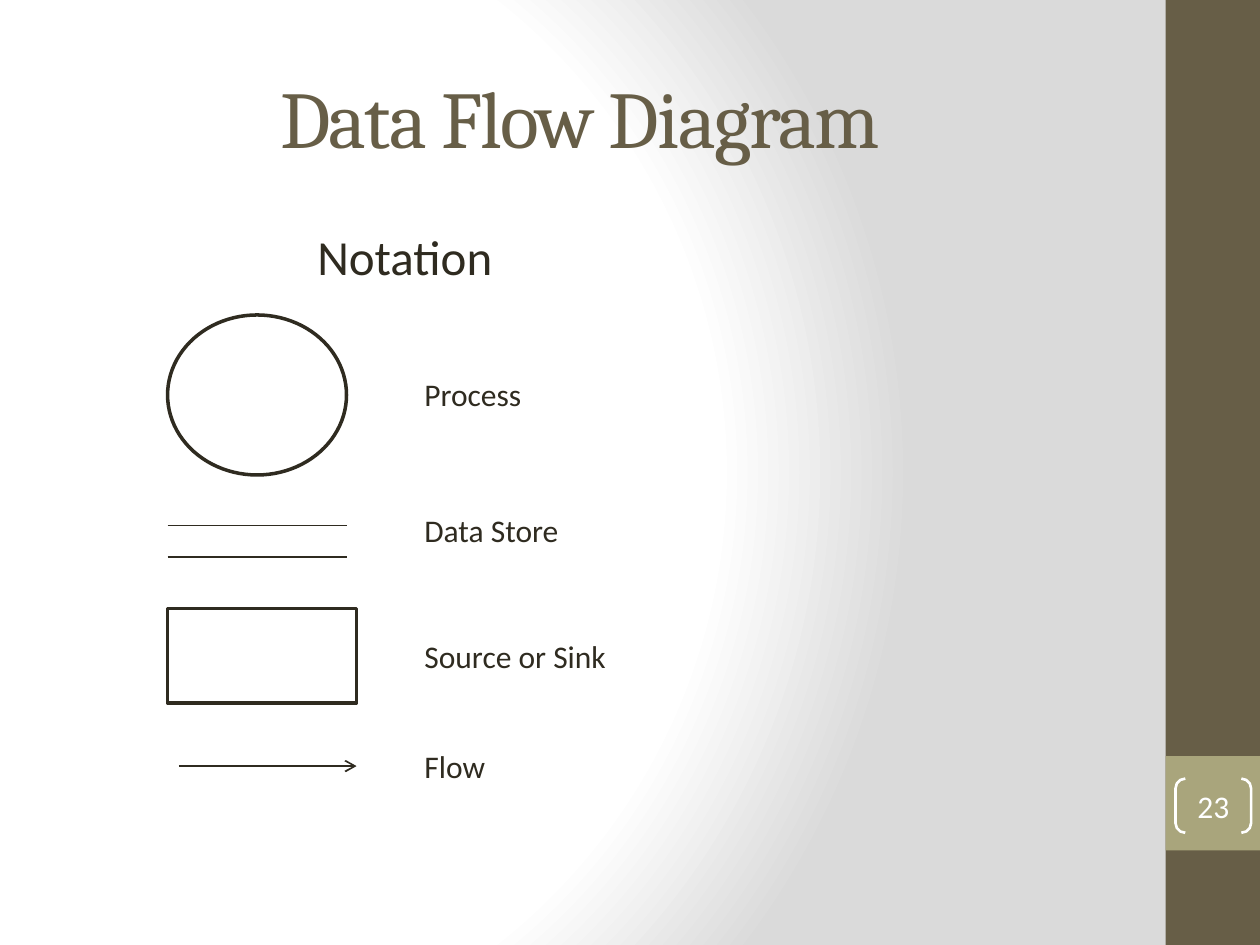
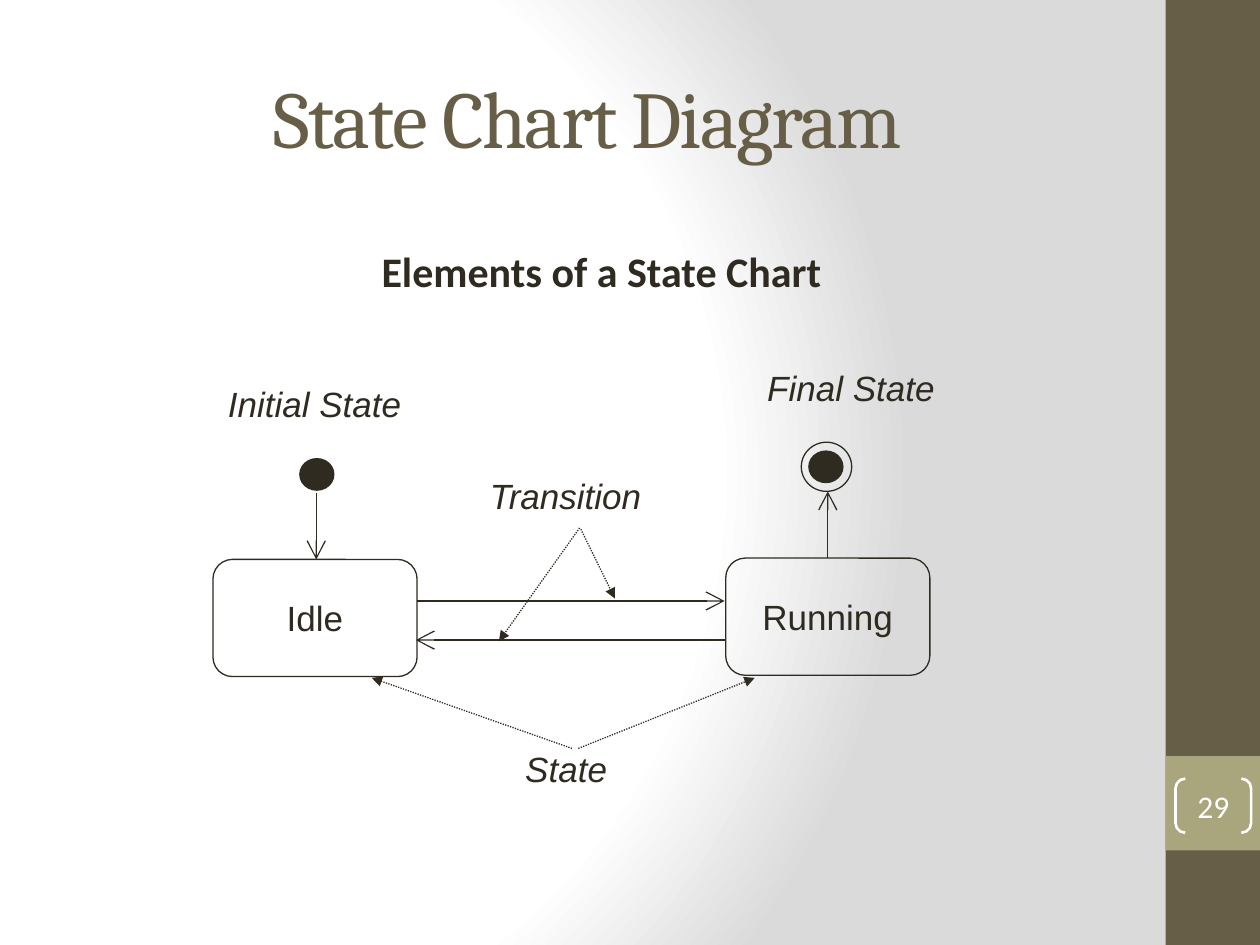
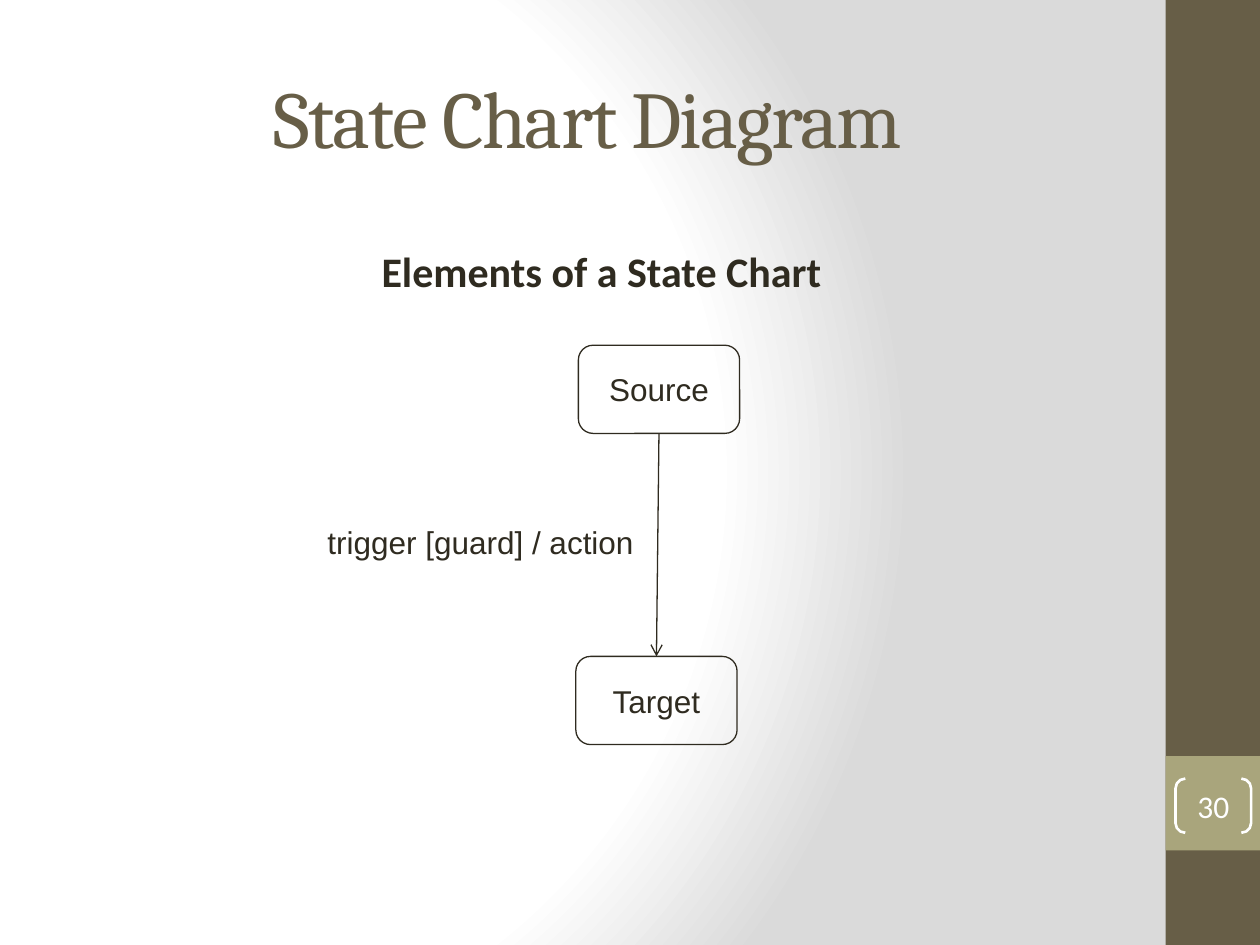
from pptx import Presentation
from pptx.dml.color import RGBColor as Rgb
from pptx.enum.dml import MSO_LINE as Dash
from pptx.enum.shapes import MSO_CONNECTOR as Conn, MSO_SHAPE as Kind
from pptx.enum.text import MSO_ANCHOR as Anchor, MSO_AUTO_SIZE as Fit, PP_ALIGN as Align
from pptx.oxml import parse_xml
from pptx.oxml.ns import nsdecls, qn
from pptx.util import Inches, Pt

HUES = {"ink": "2F2B20", "band": "675E47", "tab": "A9A57C",
        "white": "FFFFFF", "grey": "DADADA"}


class Deck:
    """Holds the shared style and the current slide."""

    def __init__(self):
        self.prs = Presentation()
        self.prs.slide_width, self.prs.slide_height = Inches(10), Inches(7.5)
        self.slide = None
        self.back()

    def back(self):
        """Radial backdrop on the master."""
        root = self.prs.slide_master
        root.background.fill.solid()
        stops = "".join(
            f'<a:gs pos="{pos}"><a:srgbClr val="{HUES[hue]}"/></a:gs>'
            for pos, hue in ((0, "white"), (75000, "white"), (100000, "grey")))
        node = root.element.find(".//" + qn("p:bgPr"))
        node.replace(node[0], parse_xml(
            f'<a:gradFill {nsdecls("a")} rotWithShape="1"><a:gsLst>{stops}</a:gsLst>'
            '<a:path path="circle"><a:fillToRect l="20000" t="50000" r="100000" b="50000"/>'
            '</a:path></a:gradFill>'))

    def hue(self, name):
        return Rgb.from_string(HUES[name])

    def run(self, para, text, size, face="Calibri", hue="ink", bold=False, slant=False):
        run = para.add_run()
        run.text = text
        font = run.font
        font.size, font.name, font.bold, font.italic = Pt(size), face, bold, slant
        font.color.rgb = self.hue(hue)
        return run

    def page(self, title, num):
        """New slide with side bands, title and number."""
        self.slide = self.prs.slides.add_slide(self.prs.slide_layouts[5])
        self.shape(Kind.RECTANGLE, 9.25, 0, 0.75, 7.5, fill="band")
        self.shape(Kind.RECTANGLE, 9.25, 6, 0.75, 0.75, fill="tab")
        head = self.slide.shapes.title
        head.left, head.top = Inches(0.5), Inches(0.3)
        head.width, head.height = Inches(8.33), Inches(1.25)
        frame = head.text_frame
        frame.auto_size, frame.vertical_anchor = Fit.NONE, Anchor.MIDDLE
        para = frame.paragraphs[0]
        para.alignment = Align.CENTER
        run = self.run(para, title, 46, "Cambria", "band")
        run.font._element.set("spc", "-100")
        mark = self.shape(Kind.DOUBLE_BRACKET, 9.33, 6.18, 0.6, 0.43,
                          line="white", weight=1.5)
        mark.adjustments[0] = 0.18
        self.label(mark, str(num), 18, "Calibri", "white")

    def shape(self, kind, x, y, w, h, fill=None, line=None, weight=0.75):
        item = self.slide.shapes.add_shape(kind, Inches(x), Inches(y), Inches(w), Inches(h))
        item.shadow.inherit = False
        if fill:
            item.fill.solid()
            item.fill.fore_color.rgb = self.hue(fill)
        else:
            item.fill.background()
        if line:
            item.line.color.rgb = self.hue(line)
            item.line.width = Pt(weight)
        else:
            item.line.fill.background()
        return item

    def label(self, item, text, size, face, hue="ink"):
        """Centred text inside a shape."""
        frame = item.text_frame
        frame.margin_left = frame.margin_right = frame.margin_top = frame.margin_bottom = 0
        frame.word_wrap, frame.vertical_anchor = False, Anchor.MIDDLE
        para = frame.paragraphs[0]
        para.alignment = Align.CENTER
        self.run(para, text, size, face, hue)

    def state(self, x, y, w, h, text, size):
        box = self.shape(Kind.ROUNDED_RECTANGLE, x, y, w, h, line="ink")
        self.label(box, text, size, "Arial")

    def text(self, x, y, w, h, text, size, wrap=False, **look):
        box = self.slide.shapes.add_textbox(Inches(x), Inches(y), Inches(w), Inches(h))
        frame = box.text_frame
        frame.word_wrap, frame.auto_size = wrap, Fit.SHAPE_TO_FIT_TEXT
        self.run(frame.paragraphs[0], text, size, **look)

    def line(self, start, end, weight=0.75, tip=None, size="med", dots=False):
        item = self.slide.shapes.add_connector(
            Conn.STRAIGHT, *(Inches(val) for val in (*start, *end)))
        item.line.color.rgb = self.hue("ink")
        item.line.width = Pt(weight)
        if dots:
            item.line.dash_style = Dash.ROUND_DOT
        if tip:
            item.line._get_or_add_ln().append(parse_xml(
                f'<a:tailEnd {nsdecls("a")} type="{tip}" w="{size}" len="{size}"/>'))
        item._element.spPr.append(parse_xml(f'<a:effectLst {nsdecls("a")}/>'))

    def topic(self):
        self.text(2.93, 1.9, 4, 0.5, "Elements of a State Chart", 24, wrap=True, bold=True)


def flow(deck):
    deck.page("Data Flow Diagram ", 23)
    deck.text(2.42, 1.75, 1.7, 0.57, "Notation", 28)
    # Symbols
    deck.shape(Kind.OVAL, 1.33, 2.5, 1.42, 1.27, line="ink", weight=2)
    for y in (4.17, 4.42):
        deck.line((1.33, y), (2.75, y), 1)
    deck.shape(Kind.RECTANGLE, 1.33, 4.83, 1.5, 0.75, line="ink", weight=2)
    deck.line((1.42, 6.08), (2.83, 6.08), 1, "arrow")
    # Names
    for y, w, name in ((2.93, 1.04, "Process"), (4.01, 1.34, "Data Store"),
                       (5.01, 1.72, "Source or Sink"), (5.88, 0.75, "Flow")):
        deck.text(3.27, y, w, 0.4, name, 18)


def chart(deck):
    deck.page("State Chart Diagram", 29)
    deck.topic()
    # States
    deck.state(1.69, 4.44, 1.62, 0.93, "Idle", 20)
    deck.state(5.76, 4.43, 1.62, 0.93, "Running", 20)
    for x, y in ((2.38, 3.64), (6.42, 3.58)):
        deck.shape(Kind.OVAL, x, y, 0.27, 0.25, fill="ink", line="ink")
    deck.shape(Kind.OVAL, 6.36, 3.51, 0.4, 0.39, line="ink")
    # Moves between states
    for start, end in (((3.31, 4.77), (5.75, 4.77)), ((5.76, 5.08), (3.3, 5.08)),
                       ((2.51, 3.91), (2.51, 4.44)), ((6.57, 4.43), (6.57, 3.9))):
        deck.line(start, end, tip="arrow", size="lg")
    # Dotted pointers
    for start, end in (((4.61, 4.2), (4.88, 4.75)), ((4.6, 4.19), (3.96, 5.09)),
                       ((4.59, 5.94), (5.99, 5.38)), ((4.54, 5.94), (2.95, 5.38))):
        deck.line(start, end, tip="triangle", dots=True)
    # Names
    for x, y, w, name in ((1.71, 2.99, 1.65, "Initial State"), (5.99, 2.86, 1.55, "Final State"),
                          (4.07, 5.88, 0.85, "State"), (3.79, 3.72, 1.42, "Transition")):
        deck.text(x, y, w, 0.43, name, 20, face="Arial", slant=True)


def rule(deck):
    deck.page("State Chart Diagram", 30)
    deck.topic()
    # Two states joined by a guarded move
    deck.state(4.59, 2.74, 1.28, 0.7, "Source", 18)
    deck.state(4.57, 5.21, 1.28, 0.7, "Target", 18)
    deck.line((5.23, 3.44), (5.21, 5.21), tip="arrow")
    deck.text(2.5, 4.1, 2.63, 0.4, "trigger [guard] / action", 18, face="Arial")


def main():
    deck = Deck()
    for build in (flow, chart, rule):
        build(deck)
    deck.prs.save("out.pptx")


if __name__ == "__main__":
    main()
